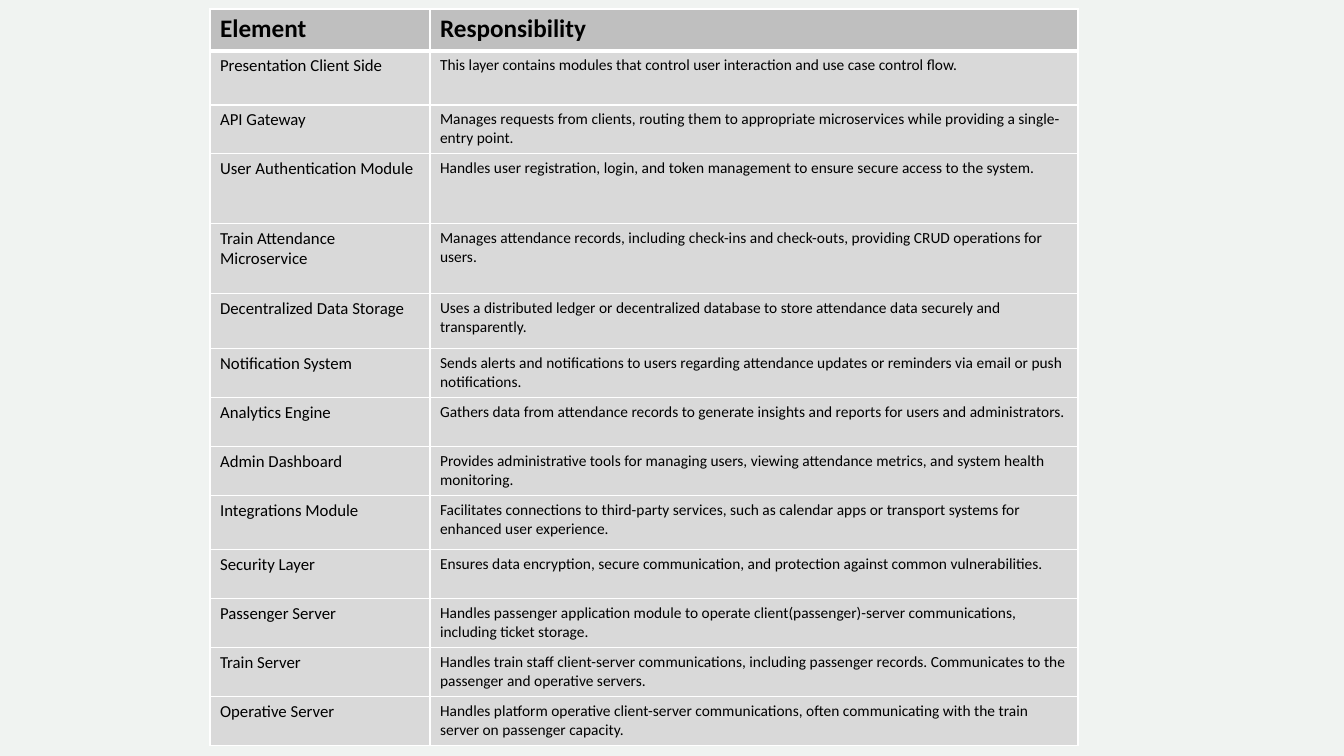
import pptx
import pptx.dml.color
import pptx.oxml.ns
import pptx.util
import lxml.etree

HEADERS = ("Element", "Responsibility")
ELEMENTS = [
    ("Presentation Client Side", 54,
     "This layer contains modules that control user interaction and use case control flow."),
    ("API Gateway", 49,
     "Manages requests from clients, routing them to appropriate microservices while providing a single-entry point."),
    ("User Authentication Module", 70,
     "Handles user registration, login, and token management to ensure secure access to the system."),
    ("Train Attendance Microservice", 70,
     "Manages attendance records, including check-ins and check-outs, providing CRUD operations for users."),
    ("Decentralized Data Storage", 55,
     "Uses a distributed ledger or decentralized database to store attendance data securely and transparently."),
    ("Notification System", 49,
     "Sends alerts and notifications to users regarding attendance updates or reminders via email or push notifications."),
    ("Analytics Engine", 49,
     "Gathers data from attendance records to generate insights and reports for users and administrators."),
    ("Admin Dashboard", 49,
     "Provides administrative tools for managing users, viewing attendance metrics, and system health monitoring."),
    ("Integrations Module", 54,
     "Facilitates connections to third-party services, such as calendar apps or transport systems for enhanced user experience."),
    ("Security Layer", 49,
     "Ensures data encryption, secure communication, and protection against common vulnerabilities."),
    ("Passenger Server", 49,
     "Handles passenger application module to operate client(passenger)-server communications, including ticket storage."),
    ("Train Server", 49,
     "Handles train staff client-server communications, including passenger records. Communicates to the passenger and operative servers."),
    ("Operative Server", 49,
     "Handles platform operative client-server communications, often communicating with the train server on passenger capacity."),
]
COLORS = {"background": "F0F3F1", "header": "BFBFBF", "body": "D9D9D9",
          "border": "FFFFFF", "text": "000000"}
FONT = "Calibri"
HEADER_STYLE = (18, 21.8)
BODY_STYLES = ((12, 14.2), (11, 13.5))
THIN, THICK = 0.92, 2.78
SLIDE_WIDTH, SLIDE_HEIGHT = 1344, 756
TABLE_LEFT, TABLE_TOP = 210, 9
COLUMN_WIDTHS = (220, 648)
HEADER_HEIGHT = 42


def px(value):
    return round(value * 914400 / 100.8)


def color(name):
    return pptx.dml.color.RGBColor.from_string(COLORS[name])


def add_borders(cell, top, bottom):
    properties = cell._tc.get_or_add_tcPr()
    sides = (("lnL", THIN), ("lnR", THIN), ("lnT", top), ("lnB", bottom))
    for position, (side, width) in enumerate(sides):
        line = lxml.etree.Element(pptx.oxml.ns.qn("a:" + side), w=str(pptx.util.Pt(width)))
        fill = lxml.etree.SubElement(line, pptx.oxml.ns.qn("a:solidFill"))
        lxml.etree.SubElement(fill, pptx.oxml.ns.qn("a:srgbClr"), val=COLORS["border"])
        properties.insert(position, line)


def write_cell(cell, text, style, is_header):
    size, spacing = style
    cell.fill.solid()
    cell.fill.fore_color.rgb = color("header" if is_header else "body")
    cell.text_frame.text = text
    paragraph = cell.text_frame.paragraphs[0]
    paragraph.line_spacing = pptx.util.Pt(spacing)
    font = paragraph.runs[0].font
    font.name = FONT
    font.size = pptx.util.Pt(size)
    font.bold = is_header
    font.color.rgb = color("text")


def main():
    presentation = pptx.Presentation()
    presentation.slide_width = px(SLIDE_WIDTH)
    presentation.slide_height = px(SLIDE_HEIGHT)
    slide = presentation.slides.add_slide(presentation.slide_layouts[6])
    slide.background.fill.solid()
    slide.background.fill.fore_color.rgb = color("background")

    texts = [HEADERS] + [(name, duty) for name, height, duty in ELEMENTS]
    heights = [HEADER_HEIGHT] + [height for name, height, duty in ELEMENTS]
    table = slide.shapes.add_table(
        len(texts), len(COLUMN_WIDTHS), px(TABLE_LEFT), px(TABLE_TOP),
        px(sum(COLUMN_WIDTHS)), px(sum(heights))).table
    table.horz_banding = False
    for column, width in zip(table.columns, COLUMN_WIDTHS):
        column.width = px(width)

    for index, (row, height, row_texts) in enumerate(zip(table.rows, heights, texts)):
        row.height = px(height)
        is_header = index == 0
        styles = (HEADER_STYLE, HEADER_STYLE) if is_header else BODY_STYLES
        for cell, text, style in zip(row.cells, row_texts, styles):
            write_cell(cell, text, style, is_header)
            add_borders(cell, THICK if index == 1 else THIN, THICK if is_header else THIN)

    presentation.save("out.pptx")


if __name__ == "__main__":
    main()
